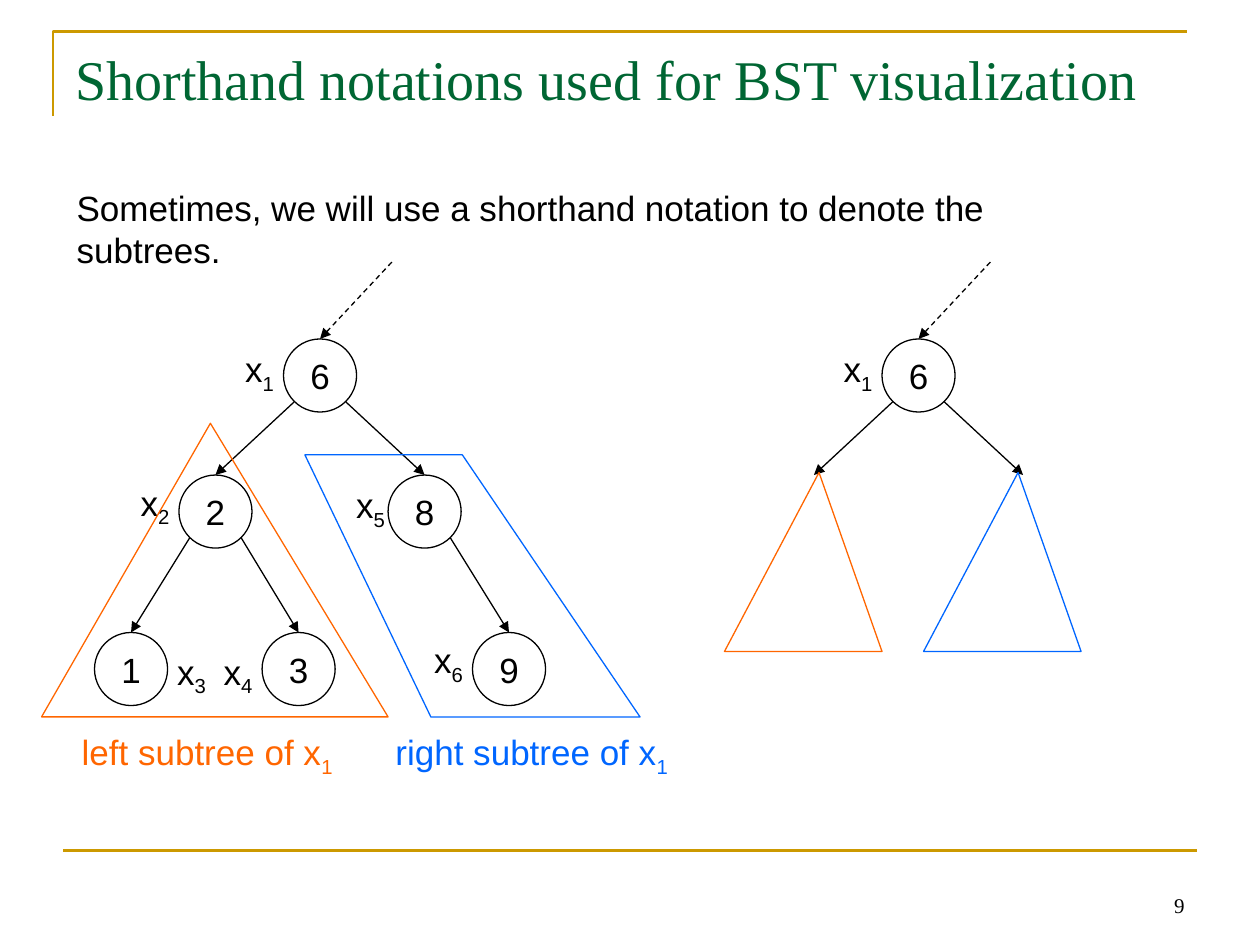
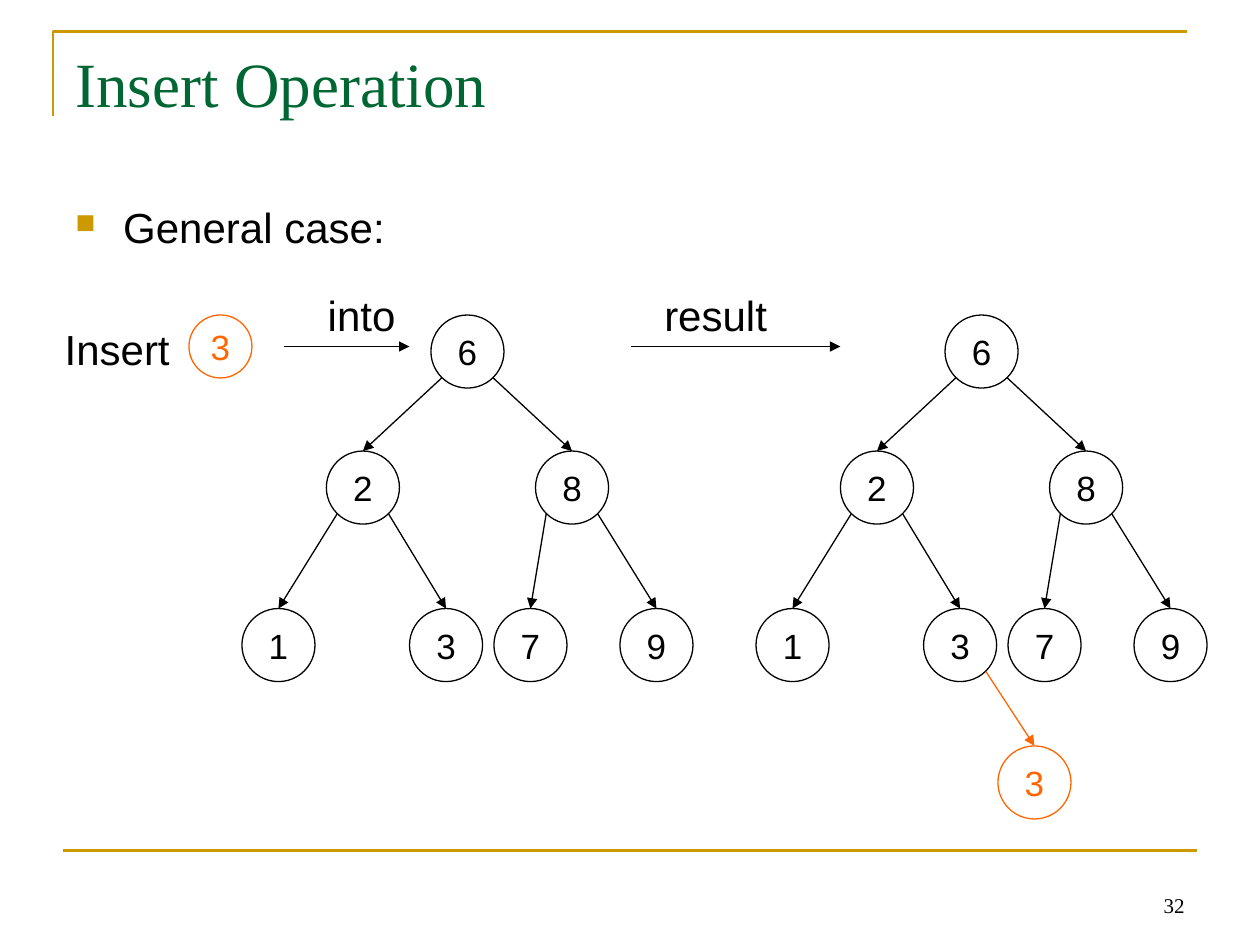
import pptx
import pptx.util
import pptx.dml.color
import pptx.enum.dml
import pptx.enum.shapes
import pptx.enum.text
import pptx.oxml
import pptx.oxml.ns
from dataclasses import dataclass

Inches = pptx.util.Inches
Pt = pptx.util.Pt
qn = pptx.oxml.ns.qn
Align = pptx.enum.text.PP_ALIGN
Anchor = pptx.enum.text.MSO_ANCHOR


@dataclass(frozen=True)
class Theme:
    ink: str = "000000"
    head: str = "006633"
    gold: str = "CC9900"
    warm: str = "FF6600"
    cool: str = "0066FF"
    sans: str = "Arial"
    serif: str = "Times New Roman"
    small: int = 12
    body: int = 20
    large: int = 24
    thin: float = 0.75
    thick: float = 1.5


T = Theme()
SIZE = 0.58
SHOULDER = 0.205
DROP = 0.5

NODES = {
    "root": ("6", 0, 0),
    "left": ("2", -0.83, 1.08),
    "right": ("8", 0.83, 1.08),
    "one": ("1", -1.5, 2.33),
    "three": ("3", -0.17, 2.33),
    "seven": ("7", 0.5, 2.33),
    "nine": ("9", 1.5, 2.33),
    "new": ("3", 0.42, 3.42),
}
LINKS = [
    ("root", "left", -1), ("root", "right", 1),
    ("left", "one", -1), ("left", "three", 1),
    ("right", "seven", -1), ("right", "nine", 1),
    ("three", "new", 1),
]
FULL = ["root", "left", "right", "one", "three", "seven", "nine"]
SHORT = [name for name in FULL if name != "seven"]

NOTE = {
    "title": "Shorthand notations used for BST visualization",
    "size": 32,
    "page": "9",
    "lead": "Sometimes, we will use a shorthand notation to denote the subtrees.",
    "trees": [((2.25, 2.69), SHORT), ((7, 2.69), ["root"])],
    "names": [
        ("x_1", 1.84, 2.71), ("x_2", 1.01, 3.77), ("x_3", 1.3, 5.11),
        ("x_4", 1.67, 5.11), ("x_5", 2.72, 3.79), ("x_6", 3.34, 5.02),
        ("x_1", 6.59, 2.71),
    ],
    "zones": [
        (T.warm, [(1.67, 3.36), (3.08, 5.69), (0.33, 5.69)]),
        (T.cool, [(2.42, 3.61), (3.67, 3.61), (5.08, 5.69), (3.42, 5.69)]),
        (T.warm, [(6.5, 3.75), (5.75, 5.17), (7, 5.17)]),
        (T.cool, [(8.08, 3.75), (7.33, 5.17), (8.58, 5.17)]),
    ],
    "keys": [
        ("left subtree of x_1", T.warm, (0.55, 5.75, 2.2, 0.43)),
        ("right subtree of x_1", T.cool, (3.04, 5.75, 2.37, 0.43)),
    ],
}
INSERT = {
    "title": "Insert Operation",
    "size": 36,
    "page": "32",
    "lead": "General case:",
    "trees": [((3.42, 2.5), FULL), ((7.5, 2.5), FULL + ["new"])],
    "words": [
        ("Insert", (0.33, 2.52, 1.2, 0.5)),
        ("into", (2.42, 2.25, 0.9, 0.5)),
        ("result", (5.08, 2.25, 1.2, 0.5)),
    ],
    "arrows": [((2.25, 2.75), (3.25, 2.75)), ((5.01, 2.75), (6.67, 2.75))],
}


def rgb(color):
    return pptx.dml.color.RGBColor.from_string(color)


def inch(*sides):
    return [Inches(side) for side in sides]


def put(text, frame, size=T.body, font=T.sans, color=T.ink, align=Align.LEFT,
        anchor=Anchor.TOP, wrap=False, pad=None):
    frame.word_wrap = wrap
    frame.vertical_anchor = anchor
    if pad is not None:
        frame.margin_left = frame.margin_right = Inches(pad)
        frame.margin_top = frame.margin_bottom = Inches(pad)
    para = frame.paragraphs[0]
    para.alignment = align
    for rank, part in enumerate(text.split("_")):
        run = para.add_run()
        run.text = part
        run.font.size = Pt(size)
        run.font.name = font
        run.font.color.rgb = rgb(color)
        if rank:
            run.font._element.set("baseline", "-25000")
    return para


def box(slide, at):
    return slide.shapes.add_textbox(*inch(*at)).text_frame


def trace(shape, color, width=T.thin):
    shape.line.color.rgb = rgb(color)
    shape.line.width = Pt(width)


def outline(slide, points, color, width=T.thin, close=True):
    spots = [inch(*point) for point in points]
    pen = slide.shapes.build_freeform(*spots[0])
    pen.add_line_segments(spots[1:], close=close)
    shape = pen.convert_to_shape()
    shape.shadow.inherit = False
    shape.fill.background()
    trace(shape, color, width)


def line(slide, start, end, color=T.ink, width=T.thin, arrow=True, dash=False):
    kind = pptx.enum.shapes.MSO_CONNECTOR.STRAIGHT
    link = slide.shapes.add_connector(kind, *inch(*start, *end))
    trace(link, color, width)
    if dash:
        link.line.dash_style = pptx.enum.dml.MSO_LINE.DASH
    if arrow:
        tail = pptx.oxml.parse_xml(
            f'<a:tailEnd {pptx.oxml.ns.nsdecls("a")} type="triangle"/>')
        link.line._get_or_add_ln().append(tail)
    props = link._element.spPr
    props.append(props.makeelement(qn("a:effectLst"), {}))
    return link


def node(slide, label, left, top, size=SIZE, color=T.ink):
    kind = pptx.enum.shapes.MSO_SHAPE.OVAL
    disc = slide.shapes.add_shape(kind, *inch(left, top, size, size))
    disc.shadow.inherit = False
    disc.fill.background()
    trace(disc, color)
    put(label, disc.text_frame, color=color, align=Align.CENTER,
        anchor=Anchor.MIDDLE, pad=0)
    return disc


def tree(slide, root, names, stubs=()):
    left, top = root
    discs = {}
    for name in names:
        label, across, down = NODES[name]
        color = T.warm if name == "new" else T.ink
        discs[name] = node(slide, label, left + across, top + down, color=color)
    for source, target, side in LINKS:
        if target not in discs and target not in stubs:
            continue
        _, across, down = NODES[source]
        start = (left + across + SIZE / 2 + side * SHOULDER, top + down + DROP)
        _, across, down = NODES[target]
        end = (left + across + SIZE / 2, top + down)
        color = T.warm if target == "new" else T.ink
        link = line(slide, start, end, color)
        if target in discs:
            link.end_connect(discs[target], 0)
    return discs["root"]


def bullet(para):
    props = para._p.get_or_add_pPr()
    props.set("marL", str(Inches(0.38)))
    props.set("indent", str(-Inches(0.38)))
    mark = props.makeelement(qn("a:buClr"), {})
    mark.append(mark.makeelement(qn("a:srgbClr"), {"val": T.gold}))
    props.append(mark)
    props.append(props.makeelement(qn("a:buSzPct"), {"val": "65000"}))
    props.append(props.makeelement(qn("a:buChar"), {"char": "■"}))


def base(deck, data):
    slide = deck.slides.add_slide(deck.slide_layouts[6])
    outline(slide, [(0.42, 0.92), (0.42, 0.25), (9.42, 0.25)],
            T.gold, T.thick, close=False)
    line(slide, (0.5, 6.75), (9.5, 6.75), T.gold, T.thick, arrow=False)
    put(data["page"], box(slide, (7.17, 6.83, 2.33, 0.5)), size=T.small,
        font=T.serif, align=Align.RIGHT, anchor=Anchor.BOTTOM, wrap=True)
    put(data["title"], box(slide, (0.5, 0.3, 9, 1.25)), size=data["size"],
        font=T.serif, color=T.head, wrap=True)
    return slide


def notation(deck):
    slide = base(deck, NOTE)
    put(NOTE["lead"], box(slide, (0.51, 1.43, 8.3, 0.76)), wrap=True)
    for root, names in NOTE["trees"]:
        top = tree(slide, root, names, stubs=("left", "right"))
        left, high = root
        link = line(slide, (left + 0.86, high - 0.61),
                    (left + SIZE / 2, high), dash=True)
        link.end_connect(top, 0)
    for text, left, high in NOTE["names"]:
        put(text, box(slide, (left, high, 0.44, 0.43)), align=Align.CENTER)
    for color, points in NOTE["zones"]:
        outline(slide, points, color)
    for text, color, at in NOTE["keys"]:
        put(text, box(slide, at), color=color)


def insertion(deck):
    slide = base(deck, INSERT)
    bullet(put(INSERT["lead"], box(slide, (0.5, 1.55, 9, 0.5)),
               size=T.large, wrap=True))
    for text, at in INSERT["words"]:
        put(text, box(slide, at), size=T.large, align=Align.CENTER)
    node(slide, "3", 1.5, 2.5, size=0.5, color=T.warm)
    for start, end in INSERT["arrows"]:
        line(slide, start, end)
    for root, names in INSERT["trees"]:
        tree(slide, root, names)


def main():
    deck = pptx.Presentation()
    deck.slide_width, deck.slide_height = inch(10, 7.5)
    notation(deck)
    insertion(deck)
    deck.save("out.pptx")


if __name__ == "__main__":
    main()
